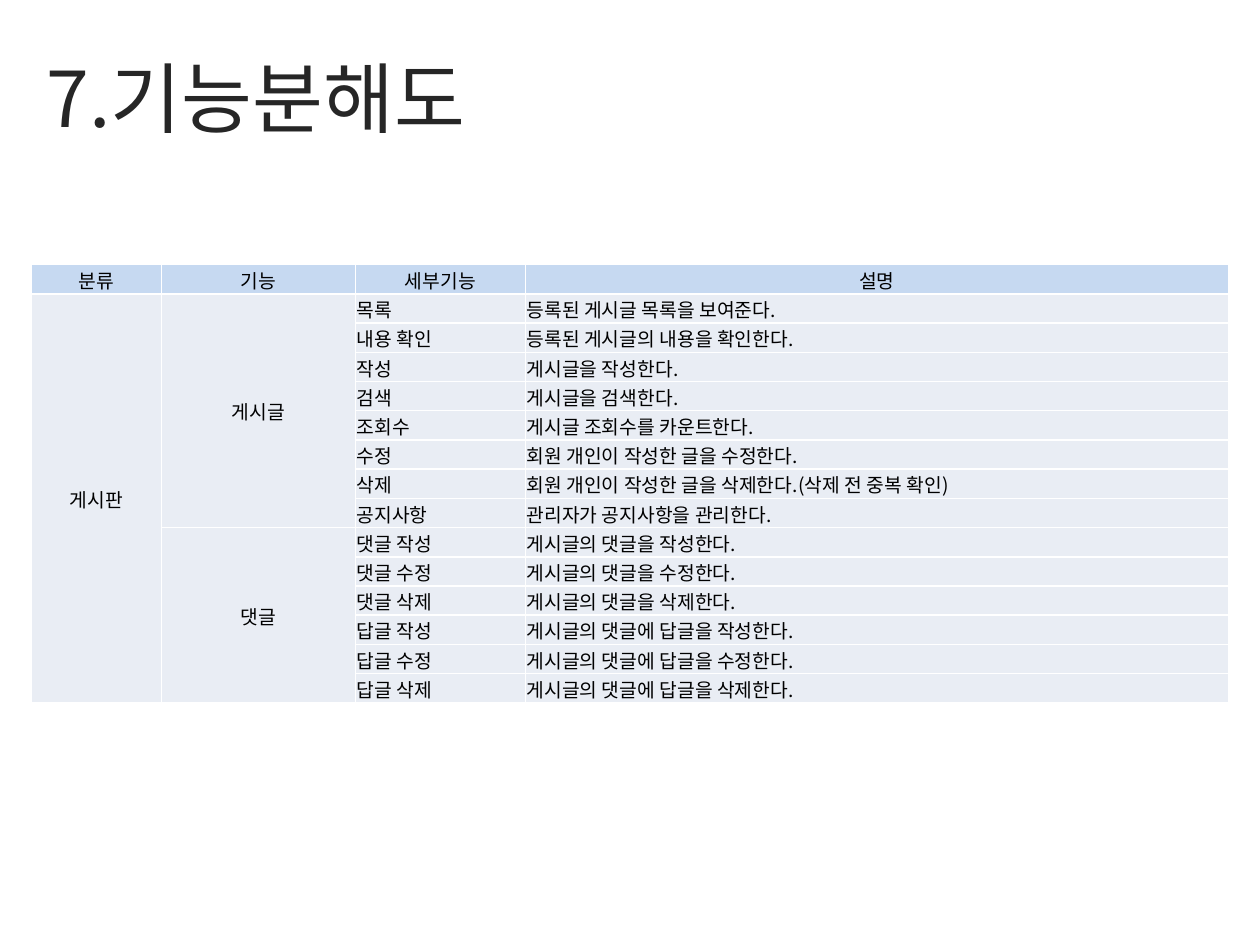
"""Build the function breakdown slide of a bulletin board."""
from lxml import etree
from pptx import Presentation
from pptx.dml.color import RGBColor
from pptx.enum import text
from pptx.oxml import ns
from pptx.util import Pt

TITLE = "7.기능분해도"
HEADINGS = ["분류", "기능", "세부기능", "설명"]
CATEGORY = "게시판"
FUNCTIONS = {
    "게시글": [
        ("목록", "등록된 게시글 목록을 보여준다."),
        ("내용 확인", "등록된 게시글의 내용을 확인한다."),
        ("작성", "게시글을 작성한다."),
        ("검색", "게시글을 검색한다."),
        ("조회수", "게시글 조회수를 카운트한다."),
        ("수정", "회원 개인이 작성한 글을 수정한다."),
        ("삭제", "회원 개인이 작성한 글을 삭제한다.(삭제 전 중복 확인)"),
        ("공지사항", "관리자가 공지사항을 관리한다."),
    ],
    "댓글": [
        ("댓글 작성", "게시글의 댓글을 작성한다."),
        ("댓글 수정", "게시글의 댓글을 수정한다."),
        ("댓글 삭제", "게시글의 댓글을 삭제한다."),
        ("답글 작성", "게시글의 댓글에 답글을 작성한다."),
        ("답글 수정", "게시글의 댓글에 답글을 수정한다."),
        ("답글 삭제", "게시글의 댓글에 답글을 삭제한다."),
    ],
}
COLORS = {"title": "262626", "text": "000000", "header": "C6D9F1",
          "body": "E9EDF4", "border": "FFFFFF"}
FONT = "Noto Sans CJK KR"
COLUMN_WIDTHS = [74.16, 110.88, 97.2, 401.76]
ROW_HEIGHT = 16.6
LEFT, CENTER = text.PP_ALIGN.LEFT, text.PP_ALIGN.CENTER


def write(frame, wording, size=11, color="text", align=LEFT):
    paragraph = frame.paragraphs[0]
    paragraph.alignment = align
    run = paragraph.add_run()
    run.text = wording
    run.font.size = Pt(size)
    run.font.color.rgb = RGBColor.from_string(COLORS[color])
    run.font.name = FONT
    etree.SubElement(run.font._element, ns.qn("a:ea"), typeface=FONT)


def style_cell(cell, fill):
    cell.vertical_anchor = text.MSO_ANCHOR.MIDDLE
    cell.margin_left = cell.margin_right = cell.margin_top = Pt(0.72)
    cell.margin_bottom = 0
    cell.fill.solid()
    cell.fill.fore_color.rgb = RGBColor.from_string(COLORS[fill])
    properties = cell._tc.get_or_add_tcPr()
    for position, side in enumerate(["lnL", "lnR", "lnT", "lnB"]):
        border = etree.Element(ns.qn(f"a:{side}"), w=str(Pt(1)))
        solid = etree.SubElement(border, ns.qn("a:solidFill"))
        etree.SubElement(solid, ns.qn("a:srgbClr"), val=COLORS["border"])
        properties.insert(position, border)


def add_title(slide):
    title = slide.shapes.title
    title.left, title.top, title.width, title.height = map(Pt, (19.44, 26.64, 683.28, 56.88))
    title.text_frame.auto_size = text.MSO_AUTO_SIZE.NONE
    title.text_frame.vertical_anchor = text.MSO_ANCHOR.MIDDLE
    write(title.text_frame, TITLE, size=44, color="title")


def add_breakdown(slide):
    row_count = 1 + sum(map(len, FUNCTIONS.values()))
    table = slide.shapes.add_table(
        row_count, len(HEADINGS), Pt(18), Pt(151.2),
        Pt(sum(COLUMN_WIDTHS)), Pt(ROW_HEIGHT * row_count)).table
    for column, width in zip(table.columns, COLUMN_WIDTHS):
        column.width = Pt(width)
    for index, row in enumerate(table.rows):
        row.height = Pt(ROW_HEIGHT)
        for cell in row.cells:
            style_cell(cell, "body" if index else "header")

    def fill_cell(row, column, wording, align=LEFT, last_row=None):
        cell = table.cell(row, column)
        if last_row:
            cell.merge(table.cell(last_row, column))
        write(cell.text_frame, wording, align=align)

    for column, heading in enumerate(HEADINGS):
        fill_cell(0, column, heading, CENTER)
    fill_cell(1, 0, CATEGORY, CENTER, row_count - 1)
    first = 1
    for function, details in FUNCTIONS.items():
        fill_cell(first, 1, function, CENTER, first + len(details) - 1)
        for row, (detail, description) in enumerate(details, first):
            fill_cell(row, 2, detail)
            fill_cell(row, 3, description)
        first += len(details)


def main():
    deck = Presentation()
    deck.slide_width, deck.slide_height = Pt(720), Pt(540)
    slide = deck.slides.add_slide(deck.slide_layouts[5])
    add_title(slide)
    add_breakdown(slide)
    deck.save("out.pptx")


if __name__ == "__main__":
    main()
